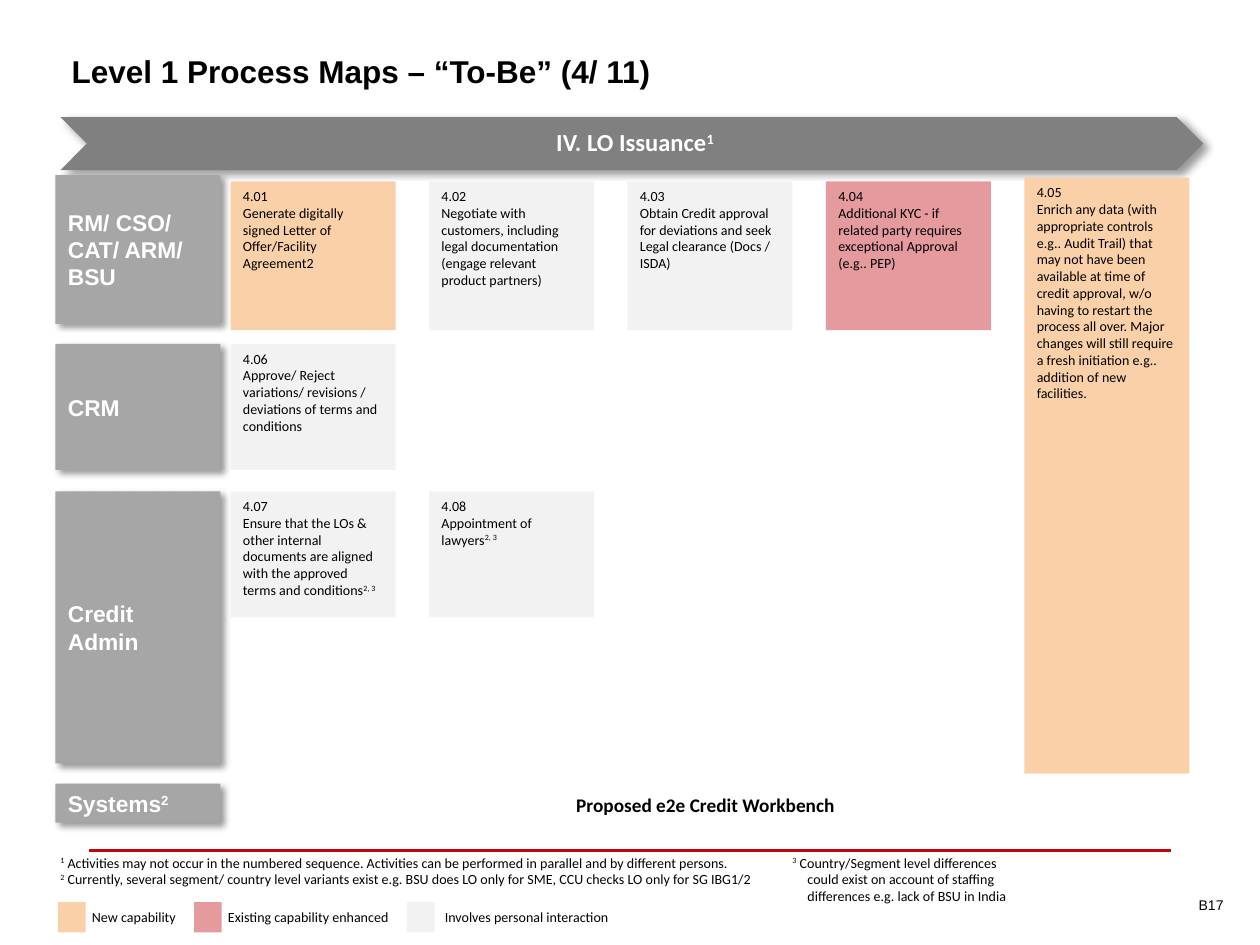
from lxml import etree
from pptx import Presentation
from pptx import util as u
from pptx.dml.color import RGBColor
from pptx.enum import shapes, text
from pptx.oxml.ns import qn

NEW, ENHANCED, PERSONAL = "FAD0A9", "E59B9D", "F2F2F2"
LANE, BANNER, RULE = "A6A6A6", "808080", "BE050A"
CARD_W, PITCH = 1.31, 1.575
MIDDLE = text.MSO_ANCHOR.MIDDLE
CENTER, RIGHT = text.PP_ALIGN.CENTER, text.PP_ALIGN.RIGHT

LANES = [
    ("RM/ CSO/ CAT/ ARM/ BSU", 0, 1.18),
    ("CRM", 1.34, 1),
    ("Credit Admin", 2.51, 2.16),
    ("Systems^2", 4.83, 0.31),
]
CARDS = [
    ("4.01", "Generate digitally signed Letter of Offer/Facility Agreement2", NEW, 0, 0.05, 1.18),
    ("4.02", "Negotiate with customers, including legal documentation "
     "(engage relevant product partners)", PERSONAL, 1, 0.05, 1.18),
    ("4.03", "Obtain Credit approval for deviations and seek Legal clearance "
     "(Docs / ISDA)", PERSONAL, 2, 0.05, 1.18),
    ("4.04", "Additional KYC - if related party requires exceptional Approval "
     "(e.g.. PEP)", ENHANCED, 3, 0.05, 1.18),
    ("4.05", "Enrich any data (with appropriate controls e.g.. Audit Trail) that may "
     "not have been available at time of credit approval, w/o having to restart the "
     "process all over. Major changes will still require a fresh initiation e.g.. "
     "addition of new facilities.", NEW, 4, 0.02, 4.73),
    ("4.06", "Approve/ Reject variations/ revisions / deviations of terms and "
     "conditions", PERSONAL, 0, 1.34, 1),
    ("4.07", "Ensure that the LOs & other internal documents are aligned with the "
     "approved terms and conditions^2, 3", PERSONAL, 0, 2.51, 1),
    ("4.08", "Appointment of lawyers^2, 3", PERSONAL, 1, 2.51, 1),
]
LEGEND = [
    ("New capability", NEW, 0, 0.27, 0.73),
    ("Existing capability enhanced", ENHANCED, 1.08, 0.27, 1.34),
    ("Involves personal interaction", PERSONAL, 2.77, 0.3, 1.45),
]


def rgb(value):
    """Turn a hex string into a colour."""
    return RGBColor.from_string(value)


def write(sp, *paragraphs, size=8, font="Calibri", color="000000", bold=False, align=None,
          anchor=text.MSO_ANCHOR.TOP, insets=(0.1, 0.05, 0.1, 0.05), hang=0, wrap=True,
          spacing=None):
    """Fill a shape with paragraphs; segments between carets alternate as superscript."""
    tf = sp.text_frame
    tf.word_wrap = wrap
    tf.vertical_anchor = anchor
    tf.margin_left, tf.margin_top, tf.margin_right, tf.margin_bottom = map(u.Inches, insets)
    for i, content in enumerate(paragraphs):
        p = tf.add_paragraph() if i else tf.paragraphs[0]
        p.alignment = align or text.PP_ALIGN.LEFT
        if spacing:
            p.line_spacing = spacing
        if hang:
            p_pr = p._p.get_or_add_pPr()
            p_pr.set("marL", str(u.Inches(hang)))
            p_pr.set("indent", str(-u.Inches(hang)))
        for j, segment in enumerate(content.split("^")):
            if not segment:
                continue
            r = p.add_run()
            r.text = segment
            r.font.size, r.font.name, r.font.bold = u.Pt(size), font, bold
            r.font.color.rgb = rgb(color)
            if j % 2:
                r.font._element.set("baseline", "30000")


def add_label(s, box, *paragraphs, **style):
    """Add a text box with formatted text."""
    sp = s.shapes.add_textbox(*map(u.Inches, box))
    write(sp, *paragraphs, **style)
    return sp


def add_block(s, box, fill, kind=shapes.MSO_SHAPE.RECTANGLE, shadow=False):
    """Add a borderless filled shape, with a soft drop shadow if asked."""
    sp = s.shapes.add_shape(kind, *map(u.Inches, box))
    sp.fill.solid()
    sp.fill.fore_color.rgb = rgb(fill)
    sp.line.fill.background()
    sp.shadow.inherit = False
    if shadow:
        effects = sp._element.spPr.find(qn("a:effectLst"))
        outer = etree.SubElement(effects, qn("a:outerShdw"), blurRad=str(u.Pt(4)),
                                 dist=str(u.Pt(3)), dir="2700000", algn="tl", rotWithShape="0")
        tone = etree.SubElement(outer, qn("a:srgbClr"), val="000000")
        etree.SubElement(tone, qn("a:alpha"), val="40000")
    return sp


def add_banner(s, x, y, w, h):
    """Draw the phase chevron with its heading."""
    add_block(s, (x, y, w, h), BANNER, shapes.MSO_SHAPE.CHEVRON, shadow=True)
    add_label(s, (x + 0.21, y, w - 0.41, h), "IV. LO Issuance^1", size=14, color="FFFFFF",
              bold=True, align=CENTER, anchor=MIDDLE, insets=(0.06, 0.02, 0.02, 0.02),
              spacing=0.9)


def add_lanes(s, x, y, w):
    """Draw the role headings and the systems entry."""
    for name, top, height in LANES:
        sp = add_block(s, (x, y + top, CARD_W, height), LANE, shadow=True)
        write(sp, name, size=13, font="Arial", color="FFFFFF", bold=True, anchor=MIDDLE)
    add_label(s, (x + 1.39, y + 4.83, w - 1.39, 0.35), "Proposed e2e Credit Workbench",
              size=11, bold=True, align=CENTER, anchor=MIDDLE, insets=(0.1, 0.03, 0.1, 0.05))


def add_cards(s, x, y):
    """Place the numbered activities on the column grid."""
    for number, activity, fill, column, top, height in CARDS:
        sp = add_block(s, (x + column * PITCH, y + top, CARD_W, height), fill)
        write(sp, number, activity)


def add_footnotes(s, x, y):
    """Write the two columns of footnotes."""
    add_label(
        s, (x, y, 6.08, 0.37),
        "^1^ Activities may not occur in the numbered sequence. Activities can be performed "
        "in parallel and by different persons.",
        "^2^ Currently, several segment/ country level variants exist e.g. BSU does LO only "
        "for SME, CCU checks LO only for SG IBG1/2", hang=0.25)
    add_label(
        s, (x + 5.81, y, 2.05, 0.5),
        "^3^ Country/Segment level differences could exist on account of staffing "
        "differences e.g. lack of BSU in India", hang=0.12)


def add_legend(s, x, y, h):
    """Draw the colour key."""
    for name, fill, left, gap, width in LEGEND:
        add_block(s, (x + left, y, 0.22, h), fill)
        add_label(s, (x + left + gap, y, width, h), name, insets=(0, 0.05, 0, 0.05), wrap=False)


def add_rule(s, x, y, w):
    """Draw the footer rule."""
    line = s.shapes.add_connector(shapes.MSO_CONNECTOR.STRAIGHT,
                                  *map(u.Inches, (x, y, x + w, y)))
    line.line.color.rgb = rgb(RULE)
    line.line.width = u.Pt(1.5)
    etree.SubElement(line._element.spPr, qn("a:effectLst"))


def main():
    """Build the process map slide."""
    prs = Presentation()
    prs.slide_width, prs.slide_height = u.Inches(10), u.Inches(7.5)
    s = prs.slides.add_slide(prs.slide_layouts[6])
    add_label(s, (0.47, 0.24, 9.07, 0.65), "Level 1 Process Maps – “To-Be” (4/ 11)",
              size=18, font="Arial", bold=True, anchor=MIDDLE)
    add_rule(s, 0.71, 6.75, 8.58)
    add_footnotes(s, 0.38, 6.73)
    add_banner(s, 0.48, 0.93, 9.07, 0.42)
    add_lanes(s, 0.44, 1.39, 8.93)
    add_cards(s, 1.83, 1.39)
    add_legend(s, 0.46, 7.16, 0.24)
    add_label(s, (8.64, 6.97, 1.17, 0.42), "B17", font="Arial", align=RIGHT, anchor=MIDDLE)
    prs.save("out.pptx")


if __name__ == "__main__":
    main()
